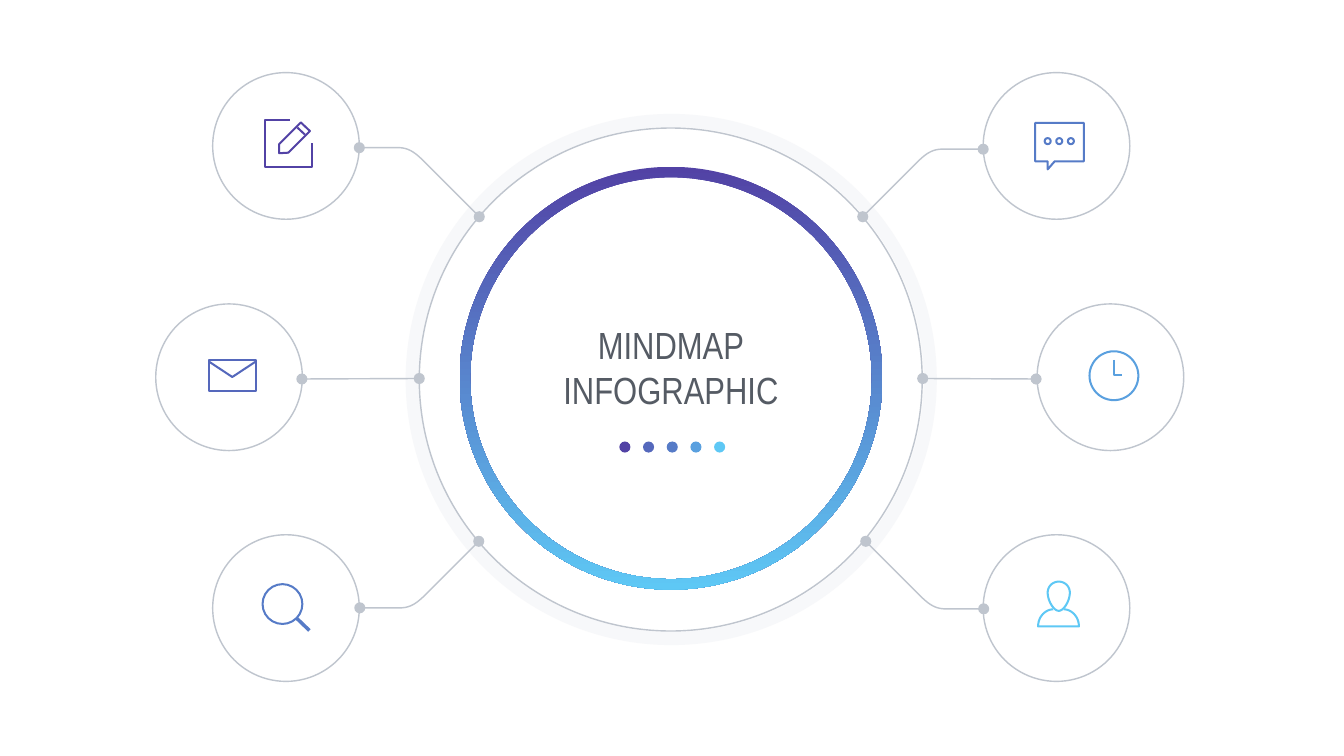
import pptx
import pptx.dml.color
import pptx.enum.shapes
import pptx.enum.text
import pptx.oxml.ns
import pptx.oxml.xmlchemy
import pptx.util

RGB = pptx.dml.color.RGBColor
SHAPE = pptx.enum.shapes.MSO_SHAPE
PX = 9144  # EMU in one px; 100 px make an inch

WHITE = RGB(0xFF, 0xFF, 0xFF)
HALO = RGB(0xEF, 0xF0, 0xF4)
GREY = RGB(0xBF, 0xC5, 0xCE)
TEXT = RGB(0x55, 0x5B, 0x64)
PURPLE = RGB(0x52, 0x42, 0xA5)
INDIGO = RGB(0x55, 0x68, 0xBC)
BLUE = RGB(0x56, 0x7B, 0xC7)
AZURE = RGB(0x5A, 0xA0, 0xDF)
CYAN = RGB(0x5E, 0xC8, 0xF5)

NODE_SIZE = 291
DOT_SIZE = 22
THIN = 2
ICON_WEIGHT = 2.88
BEND = 21


def px(length):
    return pptx.util.Emu(round(length * PX))


def style(shape, fill=None, line=None, weight=THIN):
    shape.shadow.inherit = False
    if fill is None:
        shape.fill.background()
    else:
        shape.fill.solid()
        shape.fill.fore_color.rgb = fill
    if line is None:
        shape.line.fill.background()
    else:
        shape.line.color.rgb = line
        shape.line.width = pptx.util.Pt(weight)
    return shape


def preset(slide, kind, x, y, width, height, **look):
    shape = slide.shapes.add_shape(kind, px(x), px(y), px(width), px(height))
    return style(shape, **look)


def circle(slide, x, y, size, **look):
    return preset(slide, SHAPE.OVAL, x, y, size, size, **look)


def dot(slide, centre, colour):
    x, y = centre
    circle(slide, x - DOT_SIZE / 2, y - DOT_SIZE / 2, DOT_SIZE, fill=colour)


def ring(slide, x, y, size, thickness, colour):
    donut = preset(slide, SHAPE.DONUT, x, y, size, size, fill=colour)
    donut.adjustments[0] = thickness / size
    return donut


def straight(slide, start, end, colour, weight=THIN):
    line = slide.shapes.add_connector(
        pptx.enum.shapes.MSO_CONNECTOR.STRAIGHT, *map(px, start + end))
    line.line.color.rgb = colour
    line.line.width = pptx.util.Pt(weight)
    line._element.spPr.append(pptx.oxml.xmlchemy.OxmlElement("a:effectLst"))


def outline(slide, x, y, points, colour, weight=ICON_WEIGHT, close=False):
    """Stroke a path whose points are relative to x, y."""
    points = [(px(x + dx), px(y + dy)) for dx, dy in points]
    builder = slide.shapes.build_freeform(*points[0], scale=1.0)
    builder.add_line_segments(points[1:], close=close)
    style(builder.convert_to_shape(), line=colour, weight=weight)


def bezier(*controls, steps=12):
    """Points along a cubic curve with four control points."""
    curve = []
    for step in range(steps + 1):
        t = step / steps
        weights = ((1 - t) ** 3, 3 * t * (1 - t) ** 2, 3 * t * t * (1 - t), t ** 3)
        curve.append(tuple(sum(w * c[axis] for w, c in zip(weights, controls))
                           for axis in (0, 1)))
    return curve


def write(frame, lines, font, size, colour, align):
    for number, words in enumerate(lines):
        paragraph = frame.paragraphs[0] if number == 0 else frame.add_paragraph()
        paragraph.text = words
        paragraph.alignment = align
        paragraph.space_before = pptx.util.Pt(0)
        paragraph.font.name = font
        paragraph.font.size = pptx.util.Pt(size)
        paragraph.font.color.rgb = colour


def hub(slide, x, y, size):
    halo = ring(slide, x, y, size, 26, HALO)
    colour = halo._element.spPr.find(".//" + pptx.oxml.ns.qn("a:srgbClr"))
    alpha = pptx.oxml.xmlchemy.OxmlElement("a:alpha")
    alpha.set("val", "45000")
    colour.append(alpha)

    gradient = ring(slide, x + 107, y + 105, 839, 21, PURPLE).fill
    gradient.gradient()
    gradient.gradient_angle = 270
    for stop, colour, position in zip(gradient.gradient_stops, (PURPLE, CYAN), (0, 1)):
        stop.color.rgb = colour
        stop.position = position

    circle(slide, x + 27, y + 28, 998, line=GREY)
    for column, colour in enumerate((PURPLE, INDIGO, BLUE, AZURE, CYAN)):
        dot(slide, (x + 435 + 47 * column, y + 661), colour)

    title = slide.shapes.title
    title.left, title.top, title.width, title.height = map(
        px, (x + 140, y + 406, 773, 193))
    frame = title.text_frame
    frame.word_wrap = True
    frame.auto_size = pptx.enum.text.MSO_AUTO_SIZE.NONE
    frame.vertical_anchor = pptx.enum.text.MSO_ANCHOR.MIDDLE
    frame.margin_left = frame.margin_right = px(6)
    frame.margin_top = frame.margin_bottom = px(6)
    write(frame, ("MINDMAP", "INFOGRAPHIC"), font="Arial Narrow", size=54,
          colour=TEXT, align=pptx.enum.text.PP_ALIGN.CENTER)


def note_icon(slide, x, y, colour):
    outline(slide, x, y, [(51, 2), (2, 2), (2, 96), (95, 96), (95, 47)], colour)
    outline(slide, x, y, [(73, 7), (30, 50), (30, 68), (48, 67), (91, 24)],
            colour, close=True)
    straight(slide, (x + 66, y + 17), (x + 81, y + 31), colour, ICON_WEIGHT)


def envelope_icon(slide, x, y, colour):
    preset(slide, SHAPE.RECTANGLE, x + 2, y + 2, 94, 61, line=colour, weight=ICON_WEIGHT)
    outline(slide, x, y, [(2, 4), (49, 35), (96, 4)], colour)


def magnifier_icon(slide, x, y, colour):
    circle(slide, x + 2, y + 2, 79, line=colour, weight=ICON_WEIGHT)
    straight(slide, (x + 70, y + 70), (x + 95, y + 94), colour, 5)


def chat_icon(slide, x, y, colour):
    outline(slide, x, y, [(2, 2), (99, 2), (99, 78), (41, 78), (27, 94), (27, 78),
                          (2, 78)], colour, close=True)
    for centre in (27, 50, 73):
        circle(slide, x + centre - 6, y + 32, 12, line=colour, weight=ICON_WEIGHT)


def clock_icon(slide, x, y, colour):
    circle(slide, x + 2, y + 2, 97, line=colour, weight=ICON_WEIGHT)
    outline(slide, x, y, [(50, 19), (50, 50), (66, 50)], colour)


def user_icon(slide, x, y, colour):
    cheek = (bezier((43, 2), (55, 2), (65, 11), (65, 24))
             + bezier((65, 24), (65, 40), (53, 60), (43, 60))[1:])
    other_cheek = [(86 - dx, dy) for dx, dy in reversed(cheek[1:-1])]
    outline(slide, x, y, cheek + other_cheek, colour, close=True)
    shoulder = bezier((32, 57), (18, 57), (2, 70), (2, 91))
    other_shoulder = [(85 - dx, dy) for dx, dy in reversed(shoulder)]
    outline(slide, x, y, shoulder + other_shoulder, colour)


def branch(slide, start, end):
    """Join two dots: diagonally, then level after a soft bend, or straight."""
    width, rise = end[0] - start[0], end[1] - start[1]
    if abs(rise) < BEND:
        straight(slide, start, end, GREY)
        return
    across = 1 if width > 0 else -1
    down = 1 if rise > 0 else -1
    run, climb = abs(width), abs(rise)
    bend = bezier((climb - BEND, climb - BEND), (climb - 11, climb - 12),
                  (climb + 1, climb - 1), (climb + BEND, climb))
    points = [(0, 0)] + bend + [(run, climb)]
    outline(slide, *start, [(across * dx, down * dy) for dx, dy in points],
            GREY, weight=THIN)


def node(slide, x, y, icon, icon_at, colour, hub_dot, node_dot):
    circle(slide, x, y, NODE_SIZE, line=GREY)
    icon(slide, x + icon_at[0], y + icon_at[1], colour)
    branch(slide, hub_dot, node_dot)
    for centre in (hub_dot, node_dot):
        dot(slide, centre, GREY)


NODES = (
    (422, 144, note_icon, (102, 92), PURPLE, (951, 430), (713, 293)),
    (309, 603, envelope_icon, (103, 110), INDIGO, (832, 751), (599, 752)),
    (422, 1061, magnifier_icon, (97, 96), BLUE, (950, 1074), (714, 1206)),
    (1951, 144, chat_icon, (101, 98), BLUE, (1712, 430), (1951, 296)),
    (2058, 603, clock_icon, (102, 92), AZURE, (1831, 751), (2056, 752)),
    (1951, 1061, user_icon, (107, 91), CYAN, (1718, 1074), (1952, 1208)),
)


def main():
    deck = pptx.Presentation()
    deck.slide_width, deck.slide_height = px(2667), px(1500)
    slide = deck.slides.add_slide(deck.slide_layouts[5])
    slide.background.fill.solid()
    slide.background.fill.fore_color.rgb = WHITE
    hub(slide, 805, 226, 1054)
    for place in NODES:
        node(slide, *place)
    deck.save("out.pptx")


if __name__ == "__main__":
    main()
